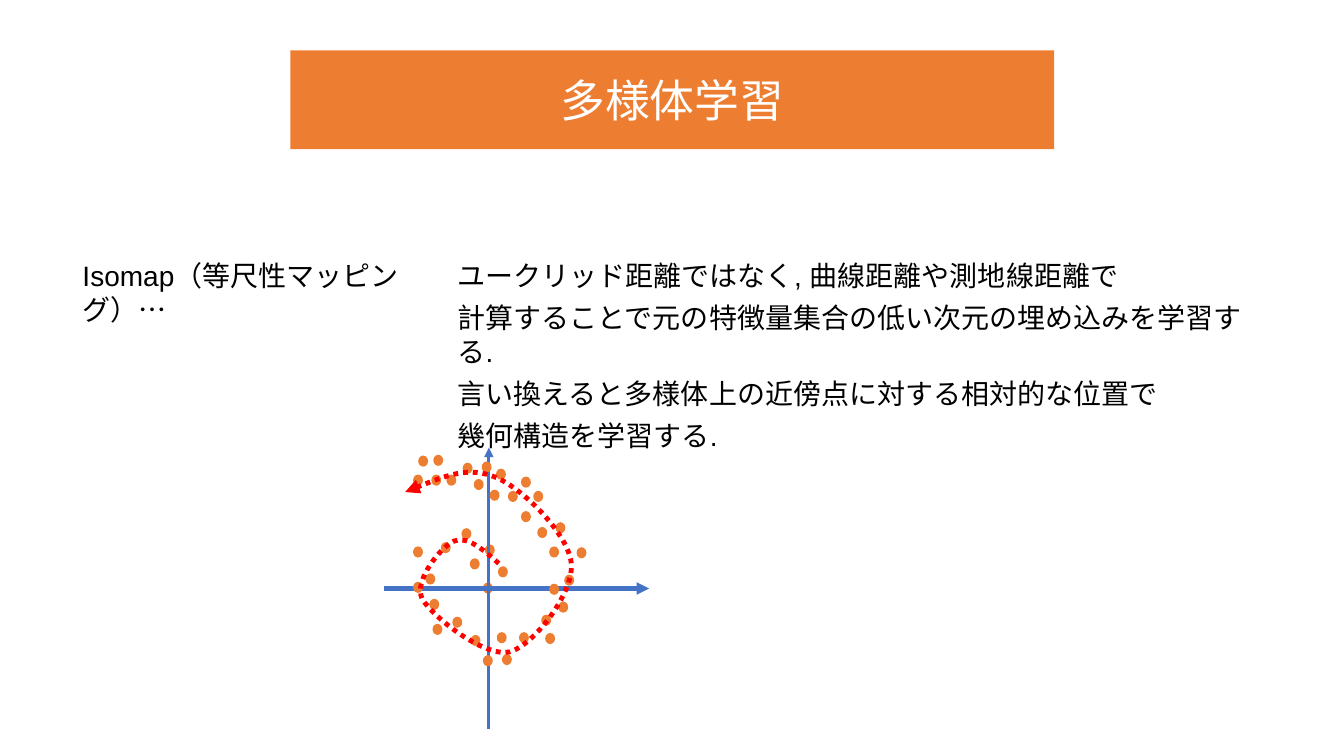
from lxml.etree import SubElement
from pptx import Presentation
from pptx.dml.color import RGBColor
from pptx.enum.dml import MSO_LINE
from pptx.enum.shapes import MSO_CONNECTOR, MSO_SHAPE
from pptx.enum.text import MSO_ANCHOR, MSO_AUTO_SIZE, PP_ALIGN
from pptx.oxml.ns import qn
from pptx.util import Cm, Pt

# Content (all lengths in centimetres)
TITLE = "多様体学習"
TERM = ["Isomap（等尺性マッピング）…"]
EXPLANATION = [
    "ユークリッド距離ではなく, 曲線距離や測地線距離で",
    "計算することで元の特徴量集合の低い次元の埋め込みを学習する.",
    "言い換えると多様体上の近傍点に対する相対的な位置で",
    "幾何構造を学習する.",
]
TITLE_BOX = (7.32, 1.27, 19.25, 2.49)
TERM_BOX = (1.83, 6.4, 9.68, 1.12)
EXPLANATION_BOX = (11.28, 6.4, 20.57, 4.32)

DOT_SIZE = (0.25, 0.28)
DOTS_BEHIND_AXES = [
    (13.44, 12.37), (13.54, 13.28), (12.55, 14.27), (12.17, 14.68),
    (13.13, 12.01), (11.63, 13.31), (12.65, 16.48), (12.52, 15.93),
    (13.64, 15.49), (14.22, 14.48), (12.22, 13.72),
]
DOTS_OVER_AXES = [
    (13.13, 12.88), (14.0, 13.16), (11.86, 16.0), (12.34, 12.34),
    (12.17, 16.51), (12.8, 12.37), (11.4, 15.54), (10.82, 15.09),
    (10.41, 13.77), (13.74, 15.95), (13.08, 15.93), (14.07, 15.16),
    (13.84, 13.77), (10.72, 14.45), (13.84, 14.71), (10.9, 15.72),
    (11.11, 13.66), (14.53, 13.79), (12.5, 11.81), (12.14, 11.63),
    (11.94, 12.07), (10.41, 14.66), (11.84, 14.07), (11.66, 11.66),
    (11.25, 11.96), (10.87, 11.96), (10.92, 11.46), (10.54, 11.48),
    (10.41, 11.96),
]
# start x, start y, end x, end y, line width
AXES = [
    (9.68, 14.83, 16.36, 14.83, 3),
    (12.32, 18.36, 12.32, 11.28, 2.25),
]
# Each row: two control points and the end point of one Bézier segment
SPIRAL_START = (12.57, 14.2)
SPIRAL_SEGMENTS = [
    [(12.17, 13.84), (11.76, 13.49), (11.43, 13.64)],
    [(11.13, 13.77), (10.41, 14.63), (10.64, 15.09)],
    [(10.9, 15.54), (12.19, 16.56), (12.83, 16.43)],
    [(13.44, 16.28), (14.45, 14.96), (14.4, 14.22)],
    [(14.35, 13.49), (13.21, 12.34), (12.52, 12.04)],
    [(11.81, 11.73), (11.02, 12.07), (10.21, 12.4)],
]

FONT = "Arial"
ORANGE = RGBColor(0xED, 0x7D, 0x31)
BLUE = RGBColor(0x44, 0x72, 0xC4)
RED = RGBColor(0xFF, 0x00, 0x00)
BLACK = RGBColor(0x00, 0x00, 0x00)
WHITE = RGBColor(0xFF, 0xFF, 0xFF)


def lengths(values):
    return [Cm(value) for value in values]


def format_text(paragraph, size, color):
    for run in paragraph.runs:
        run.font.name = FONT
        run.font.size = Pt(size)
        run.font.color.rgb = color


def add_filled_shape(slide, kind, box):
    shape = slide.shapes.add_shape(kind, *lengths(box))
    shape.shadow.inherit = False
    shape.fill.solid()
    shape.fill.fore_color.rgb = ORANGE
    shape.line.fill.background()
    return shape


def add_title(slide):
    shape = add_filled_shape(slide, MSO_SHAPE.RECTANGLE, TITLE_BOX)
    text_frame = shape.text_frame
    text_frame.text = TITLE
    text_frame.vertical_anchor = MSO_ANCHOR.MIDDLE
    paragraph = text_frame.paragraphs[0]
    paragraph.alignment = PP_ALIGN.CENTER
    format_text(paragraph, 32, WHITE)


def add_text(slide, box, lines, space_after):
    text_frame = slide.shapes.add_textbox(*lengths(box)).text_frame
    text_frame.word_wrap = True
    text_frame.auto_size = MSO_AUTO_SIZE.SHAPE_TO_FIT_TEXT
    text_frame.text = "\n".join(lines)
    for paragraph in text_frame.paragraphs:
        paragraph.space_after = Pt(space_after)
        format_text(paragraph, 20, BLACK)


def add_dots(slide, positions):
    for position in positions:
        add_filled_shape(slide, MSO_SHAPE.OVAL, position + DOT_SIZE)


def style_arrow(shape, color, width, dash=None):
    shape.line.color.rgb = color
    shape.line.width = Pt(width)
    if dash is not None:
        shape.line.dash_style = dash
    properties = shape.line._get_or_add_ln()
    SubElement(properties, qn("a:tailEnd"), type="triangle")


def add_axes(slide):
    for *ends, width in AXES:
        axis = slide.shapes.add_connector(MSO_CONNECTOR.STRAIGHT, *lengths(ends))
        style_arrow(axis, BLUE, width)
        SubElement(axis._element.spPr, qn("a:effectLst"))


def add_spiral(slide):
    builder = slide.shapes.build_freeform(*lengths(SPIRAL_START))
    for segment in SPIRAL_SEGMENTS:
        builder.add_line_segments([lengths(point) for point in segment], close=False)
    spiral = builder.convert_to_shape()

    # Turn every three straight steps into one Bézier curve
    outline = next(spiral._element.iter(qn("a:path")))
    steps = outline.findall(qn("a:lnTo"))
    for first in range(0, len(steps), 3):
        curve = SubElement(outline, qn("a:cubicBezTo"))
        for step in steps[first:first + 3]:
            curve.append(step[0])
            outline.remove(step)

    spiral.shadow.inherit = False
    spiral.fill.background()
    style_arrow(spiral, RED, 3.5, MSO_LINE.ROUND_DOT)


def main():
    presentation = Presentation()
    presentation.slide_width = Cm(33.87)
    presentation.slide_height = Cm(19.05)
    slide = presentation.slides.add_slide(presentation.slide_layouts[6])

    # Heading and text
    add_title(slide)
    add_text(slide, TERM_BOX, TERM, 0)
    add_text(slide, EXPLANATION_BOX, EXPLANATION, 6)

    # Scatter diagram with the path along the manifold
    add_dots(slide, DOTS_BEHIND_AXES)
    add_axes(slide)
    add_dots(slide, DOTS_OVER_AXES)
    add_spiral(slide)

    presentation.save("out.pptx")


if __name__ == "__main__":
    main()
